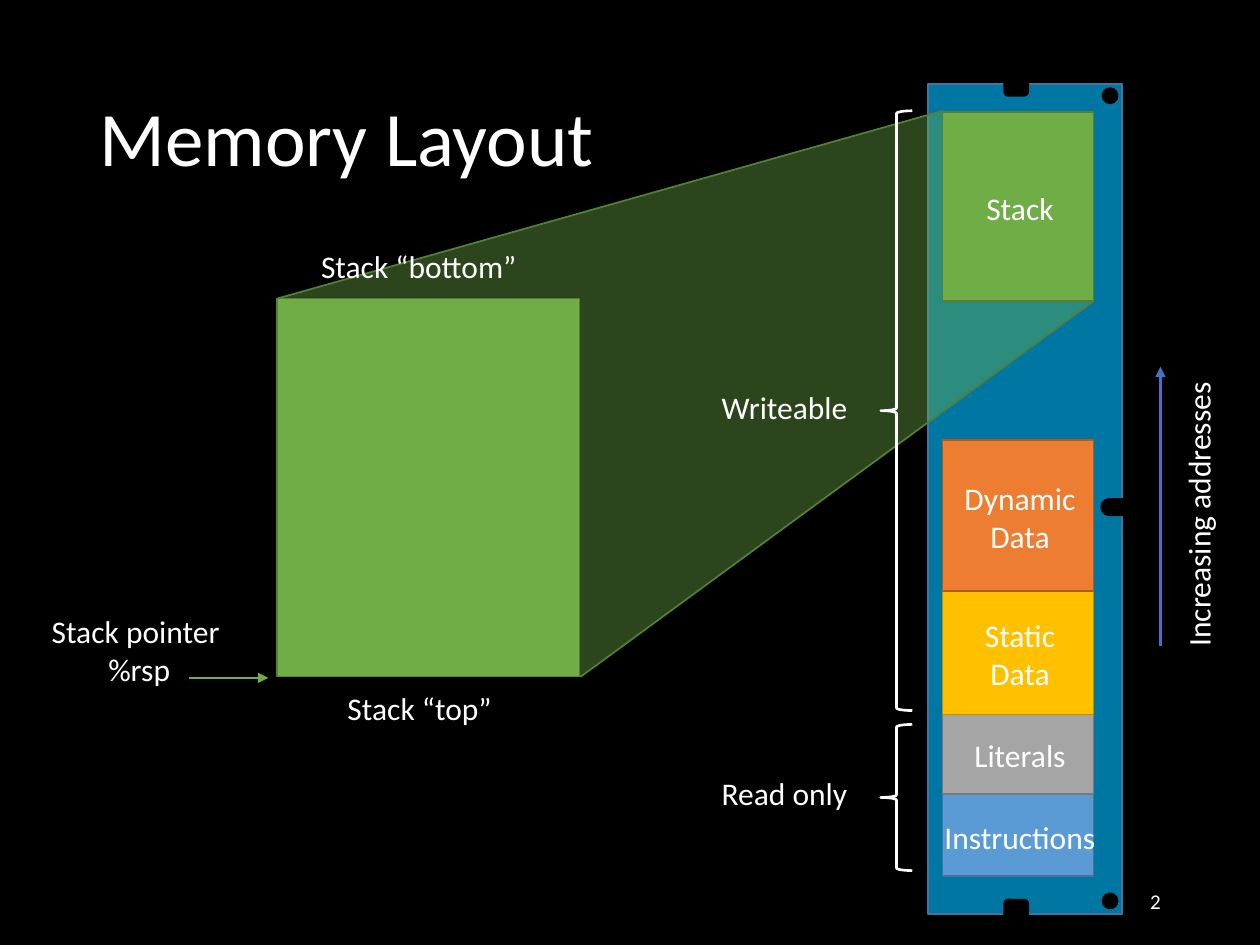
import lxml.etree
import pptx
import pptx.dml.color
import pptx.enum.shapes
import pptx.enum.text
import pptx.oxml.ns
import pptx.util

SHAPE = pptx.enum.shapes.MSO_SHAPE
ALIGN = pptx.enum.text.PP_ALIGN
ANCHOR = pptx.enum.text.MSO_ANCHOR
qn = pptx.oxml.ns.qn

# The slide is a grid of 100 columns by 75 rows of square cells
COLS, ROWS = 100, 75
CELL = pptx.util.Inches(10) // COLS

WHITE, BLACK, BOARD = "FFFFFF", "000000", "0077A2"
GREEN, DARK_GREEN = "70AD47", "538035"
BLOCK_X, BLOCK_W = 74.8, 12
LABEL_H, LINE_H = 4, 3.1

# Memory segments: lines of text, label width, top, height, fill, outline
SEGMENTS = [
    ("Instructions", 14.7, 63, 6.5, "5B9BD5", "43739E"),
    ("Literals", 9.8, 56.5, 6.5, "A5A5A5", "7A7A7A"),
    ("Static\nData", 8.1, 46.9, 9.8, "FFC000", "BD8E00"),
    ("Dynamic\nData", 11.2, 34.9, 12, "ED7D31", "AF5C24"),
]
STACK = ("Stack", 7.8, 8.9, 15, GREEN, DARK_GREEN)


def cells(*values):
    return [round(v * CELL) for v in values]


def rgb(color):
    return pptx.dml.color.RGBColor.from_string(color)


def paint(sp, fill, line, width=1):
    sp.shadow.inherit = False
    if fill:
        sp.fill.solid()
        sp.fill.fore_color.rgb = rgb(fill)
    else:
        sp.fill.background()
    sp.line.color.rgb = rgb(line)
    sp.line.width = pptx.util.Pt(width)
    return sp


def add_box(shapes, kind, x, y, w, h, fill, line, width=1):
    return paint(shapes.add_shape(kind, *cells(x, y, w, h)), fill, line, width)


def write(tf, text, size=18, align=ALIGN.LEFT, spacing=1.0):
    for i, line in enumerate(text.split("\n")):
        p = tf.paragraphs[0] if i == 0 else tf.add_paragraph()
        p.alignment = align
        p.line_spacing = spacing
        r = p.add_run()
        r.text = line
        r.font.name = "Calibri"
        r.font.size = pptx.util.Pt(size)
        r.font.color.rgb = rgb(WHITE)


def add_label(shapes, text, x, y, w, h=LABEL_H, wrap=False, anchor=ANCHOR.TOP,
              **style):
    sp = shapes.add_textbox(*cells(x, y, w, h))
    sp.text_frame.word_wrap = wrap
    sp.text_frame.vertical_anchor = anchor
    write(sp.text_frame, text, **style)
    return sp


def add_arrow(shapes, x1, y1, x2, y2, color):
    line = shapes.add_connector(pptx.enum.shapes.MSO_CONNECTOR.STRAIGHT,
                                *cells(x1, y1, x2, y2))
    line.line.color.rgb = rgb(color)
    line.line.width = pptx.util.Pt(1.5)
    lxml.etree.SubElement(line.line._get_or_add_ln(), qn("a:tailEnd"), type="triangle")
    lxml.etree.SubElement(line._element.spPr, qn("a:effectLst"))


def add_segment(shapes, text, label_w, top, height, fill, outline):
    group = shapes.add_group_shape().shapes
    add_box(group, SHAPE.RECTANGLE, BLOCK_X, top, BLOCK_W, height, fill, outline)
    label_h = LABEL_H + LINE_H * text.count("\n")
    add_label(group, text, BLOCK_X + (BLOCK_W - label_w) / 2 + 0.15,
              top + (height - label_h) / 2 + 0.15, label_w, label_h,
              align=ALIGN.CENTER)


def add_board(shapes):
    group = shapes.add_group_shape().shapes
    add_box(group, SHAPE.RECTANGLE, 73.65, 6.65, 15.4, 65.9, BOARD, "43739E")
    for y in (71.4, 5.5):
        add_box(group, SHAPE.ROUNDED_RECTANGLE, 79.7, y, 1.9, 2.1, BLACK, BLACK)
    for y in (70.9, 7):
        add_box(group, SHAPE.OVAL, 87.5, y, 1.2, 1.2, BLACK, BLACK)
    slot = add_box(group, SHAPE.ROUNDED_RECTANGLE, 87.4, 39.6, 2.7, 1.3, BLACK, BLACK)
    slot.adjustments[0] = 0.5


def add_zoom(shapes):
    points = [cells(*xy) for xy in
              ((74.8, 8.8), (22, 23.7), (46.1, 53.7), (86.8, 23.9))]
    builder = shapes.build_freeform(*points[0])
    builder.add_line_segments(points[1:], close=True)
    sp = paint(builder.convert_to_shape(), GREEN, DARK_GREEN)
    color = sp._element.spPr.find(qn("a:solidFill"))[0]
    lxml.etree.SubElement(color, qn("a:alpha"), val="40000")


def main():
    prs = pptx.Presentation()
    prs.slide_width, prs.slide_height = cells(COLS, ROWS)
    s = prs.slides.add_slide(prs.slide_layouts[5])
    s.background.fill.solid()
    s.background.fill.fore_color.rgb = rgb(BLACK)
    shapes = s.shapes

    # Memory board, title and slide number
    add_board(shapes)
    title = shapes.title
    title.left, title.top, title.width, title.height = cells(6.9, 4, 86.2, 14.5)
    title.text_frame.vertical_anchor = ANCHOR.MIDDLE
    write(title.text_frame, "Memory Layout", size=44, spacing=0.9)
    add_label(shapes, "2", 70.6, 69.5, 22.5, wrap=True, anchor=ANCHOR.MIDDLE,
              size=12, align=ALIGN.RIGHT)

    # Address direction
    add_arrow(shapes, 92.1, 51.3, 92.1, 29.1, "4472C4")
    add_label(shapes, "Increasing addresses", 83, 38.2, 24.2).rotation = 270

    # Segments and the enlarged stack
    for segment in SEGMENTS:
        add_segment(shapes, *segment)
    add_label(shapes, "Stack “top”", 26.6, 54.2, 14.7)
    add_zoom(shapes)
    add_box(shapes, SHAPE.RECTANGLE, 22, 23.7, 24, 30, GREEN, DARK_GREEN)
    add_label(shapes, "Stack “bottom”", 24.5, 19.1, 19)
    add_label(shapes, "Stack pointer \n%rsp", 2.7, 48.1, 16.7, LABEL_H + LINE_H,
              align=ALIGN.CENTER)
    add_arrow(shapes, 15, 53.8, 21.3, 53.8, GREEN)
    add_segment(shapes, *STACK)

    # Access rights
    for text, label_y, top, height in (("Writeable", 30.3, 8.8, 47.6),
                                       ("Read only", 60.9, 57.5, 11.6)):
        add_box(shapes, SHAPE.LEFT_BRACE, 69.9, top, 2.5, height, None, WHITE, 1.5)
        add_label(shapes, text, 56.3, label_y, 12.4)

    prs.save("out.pptx")


if __name__ == "__main__":
    main()
